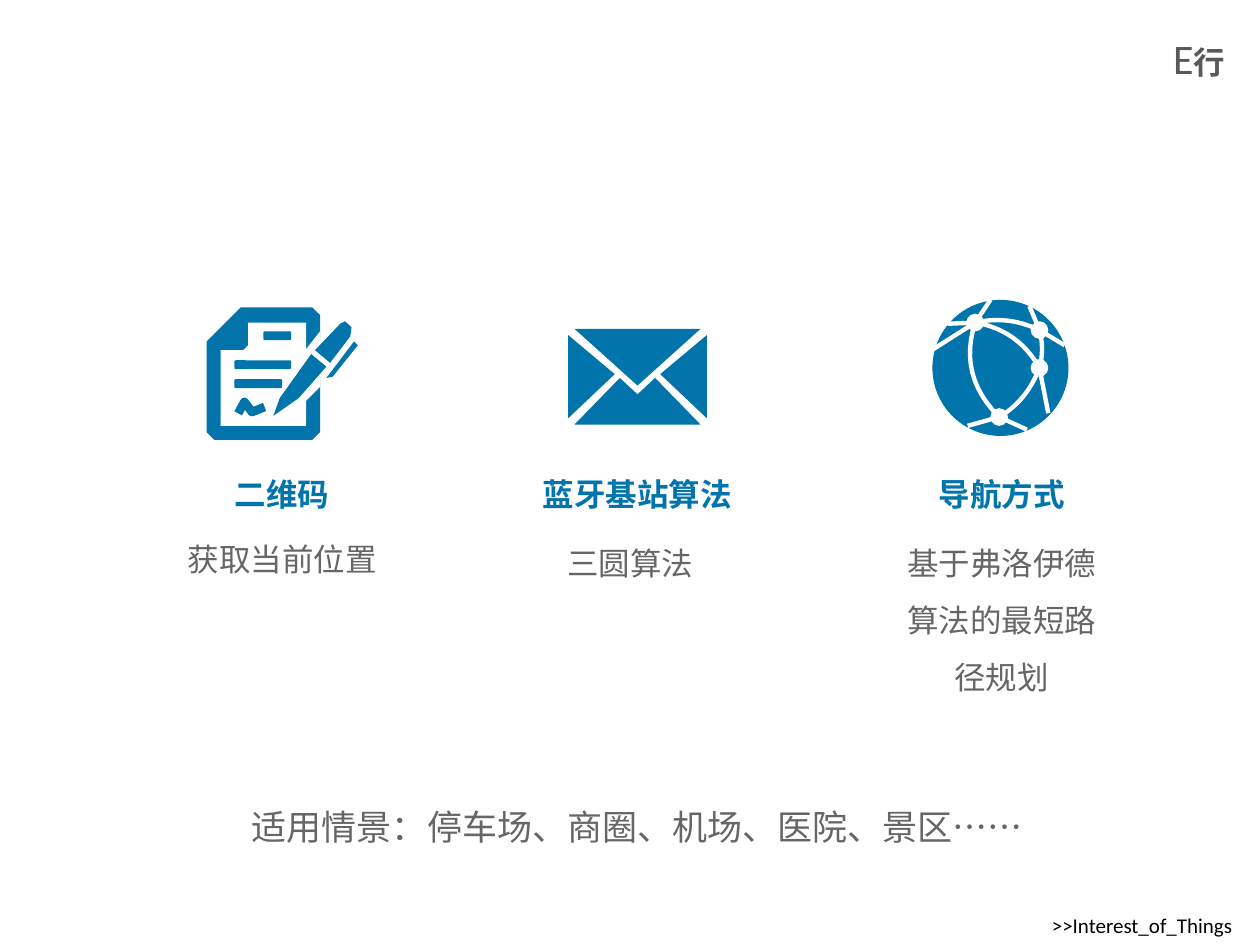
"""Build a slide with three positioning methods, each under its own icon."""
from lxml.etree import SubElement
from pptx import Presentation
from pptx.dml.color import RGBColor
from pptx.enum.shapes import MSO_SHAPE
from pptx.enum.text import MSO_ANCHOR, MSO_AUTO_SIZE, PP_ALIGN
from pptx.oxml.ns import qn
from pptx.util import Inches, Pt

COLORS = {"blue": "0174AB", "gray": "666666", "dark": "595959",
          "black": "000000", "white": "FFFFFF"}
CJK, LATIN = "Noto Sans CJK SC", "Calibri"
HEADING_TOP, ROW_HEIGHT, BODY_WIDTH = 3.72, 0.4, 1.91

COLUMNS = [
    {"center": 2.24, "heading": "二维码", "width": 1.11,
     "body": ["获取当前位置"], "body_center": 2.24, "top": 4.24, "spacing": 1.0},
    {"center": 5.06, "heading": "蓝牙基站算法", "width": 1.83,
     "body": ["三圆算法"], "body_center": 5.0, "top": 4.12, "spacing": 1.5},
    {"center": 7.95, "heading": "导航方式", "width": 1.42,
     "body": ["基于弗洛伊德", "算法的最短路径规划"],
     "body_center": 7.95, "top": 4.12, "spacing": 1.5},
]
SCENARIOS = "适用情景：停车场、商圈、机场、医院、景区……"
FOOTER = ">>Interest_of_Things"

ENVELOPE_CENTER = 5.06
ENVELOPE_HALVES = {
    "flap": [(4.56, 2.61), (5.06, 3.06)],
    "base": [(4.56, 3.37), (4.92, 3.0), (5.06, 3.13)],
}
ENVELOPE_SIDE = [(4.51, 2.66), (4.88, 2.97), (4.51, 3.32)]

PAGE = [(1.64, 2.71), (1.91, 2.44), (2.48, 2.44), (2.54, 2.5),
        (2.54, 3.43), (2.48, 3.49), (1.7, 3.49), (1.64, 3.43)]
PAPER = [(1.75, 2.78), (1.93, 2.78), (1.97, 2.74), (1.97, 2.56),
         (2.43, 2.56), (2.43, 3.38), (1.75, 3.38)]
PEN_GAP = [(2.54, 2.63), (2.43, 2.77), (2.43, 3.18), (2.54, 3.07)]
PEN = [
    [(2.47, 2.81), (2.59, 2.91), (2.37, 3.16), (2.17, 3.3), (2.22, 3.16)],
    [(2.5, 2.78), (2.7, 2.57), (2.74, 2.55), (2.79, 2.6), (2.78, 2.67), (2.62, 2.88)],
    [(2.81, 2.71), (2.84, 2.74), (2.64, 2.99), (2.59, 3.0)],
]
BARS = [(2.09, 2.63, 0.22), (1.86, 2.86, 0.45), (1.86, 3.01, 0.38)]
BAR_HEIGHT = 0.07
SIGNATURE = [(1.89, 3.28), (1.94, 3.19), (2.0, 3.27), (2.1, 3.23)]

GLOBE_CENTER, GLOBE_RADIUS, NODE_RADIUS = (7.94, 2.92), 0.54, 0.07
NODES = {"west": (7.74, 2.56), "north": (8.25, 2.62),
         "east": (8.25, 2.92), "south": (7.93, 3.31)}
LINKS = [
    ("west", (7.6, 2.98), "south"), ("south", (8.15, 3.18), "east"),
    ("north", (8.29, 2.77), "east"), ("west", (8.0, 2.5), "north"),
    ("west", (8.08, 2.62), "east"),
]
RAYS = [("west", (7.86, 2.38)), ("west", (7.52, 2.57)), ("west", (7.41, 2.77)),
        ("north", (8.17, 2.43)), ("north", (8.45, 2.74)), ("east", (8.32, 3.28)),
        ("south", (8.15, 3.41)), ("south", (7.68, 3.38))]
CURVE_STEPS = 12


def paint(shape, color):
    shape.shadow.inherit = False
    shape.fill.solid()
    shape.fill.fore_color.rgb = RGBColor.from_string(COLORS[color])
    shape.line.fill.background()


def draw_outline(group, points, color, stroke=None):
    start, *rest = [(Inches(x), Inches(y)) for x, y in points]
    builder = group.shapes.build_freeform(*start)
    builder.add_line_segments(rest, close=stroke is None)
    shape = builder.convert_to_shape()
    paint(shape, color)
    if stroke:
        shape.fill.background()
        shape.line.color.rgb = RGBColor.from_string(COLORS[color])
        shape.line.width = Pt(stroke)


def draw_preset(group, preset, box, color):
    paint(group.shapes.add_shape(preset, *map(Inches, box)), color)


def draw_circle(group, center, radius, color):
    x, y = center
    draw_preset(group, MSO_SHAPE.OVAL, (x - radius, y - radius, 2 * radius, 2 * radius), color)


def mirror(points):
    return [(2 * ENVELOPE_CENTER - x, y) for x, y in reversed(points)]


def curve(start, control, end):
    steps = [index / CURVE_STEPS for index in range(CURVE_STEPS + 1)]
    return [tuple((1 - t) ** 2 * a + 2 * t * (1 - t) * b + t * t * c
                  for a, b, c in zip(start, control, end)) for t in steps]


def draw_envelope(group):
    for half in ENVELOPE_HALVES.values():
        draw_outline(group, half + mirror(half)[1:], "blue")
    for side in (ENVELOPE_SIDE, mirror(ENVELOPE_SIDE)):
        draw_outline(group, side, "blue")


def draw_document(group):
    for outline, color in ((PAGE, "blue"), (PAPER, "white"), (PEN_GAP, "white")):
        draw_outline(group, outline, color)
    for left, top, width in BARS:
        draw_preset(group, MSO_SHAPE.ROUNDED_RECTANGLE, (left, top, width, BAR_HEIGHT), "blue")
    draw_outline(group, SIGNATURE, "blue", 5)
    for part in PEN:
        draw_outline(group, part, "white", 4)
        draw_outline(group, part, "blue")


def draw_globe(group):
    draw_circle(group, GLOBE_CENTER, GLOBE_RADIUS, "blue")
    for start, control, end in LINKS:
        draw_outline(group, curve(NODES[start], control, NODES[end]), "white", 2.5)
    for node, end in RAYS:
        draw_outline(group, [NODES[node], end], "white", 2.5)
    for center in NODES.values():
        draw_circle(group, center, NODE_RADIUS, "white")


def write(shape, box, paragraphs, align=PP_ALIGN.CENTER, spacing=1.0):
    shape.left, shape.top, shape.width, shape.height = map(Inches, box)
    frame = shape.text_frame
    frame.word_wrap = True
    frame.auto_size = MSO_AUTO_SIZE.NONE
    frame.vertical_anchor = MSO_ANCHOR.TOP
    for index, runs in enumerate(paragraphs):
        paragraph = frame.add_paragraph() if index else frame.paragraphs[0]
        paragraph.alignment = align
        paragraph.line_spacing = spacing
        for text, size, font, color, bold in runs:
            run = paragraph.add_run()
            run.text = text
            run.font.size, run.font.bold, run.font.name = Pt(size), bold, font
            run.font.color.rgb = RGBColor.from_string(COLORS[color])
            SubElement(run.font._element, qn("a:ea")).set("typeface", CJK)


def add_text(slide, box, *arguments, **options):
    write(slide.shapes.add_textbox(0, 0, 0, 0), box, *arguments, **options)


def main():
    presentation = Presentation()
    presentation.slide_width, presentation.slide_height = Inches(10), Inches(7.5)
    slide = presentation.slides.add_slide(presentation.slide_layouts[5])
    write(slide.shapes.title, (9.21, 0.21, 1.06, 0.5),
          [[("E", 24, LATIN, "dark", False), ("行", 18, LATIN, "dark", True)]], PP_ALIGN.LEFT)
    for draw_icon in (draw_envelope, draw_document, draw_globe):
        draw_icon(slide.shapes.add_group_shape())
    for column in COLUMNS:
        lines = column["body"]
        height = ROW_HEIGHT if column["spacing"] == 1 else 0.1 + 0.45 * (2 * len(lines) - 1)
        add_text(slide, (column["center"] - column["width"] / 2, HEADING_TOP,
                         column["width"], ROW_HEIGHT),
                 [[(column["heading"], 18, CJK, "blue", True)]])
        add_text(slide, (column["body_center"] - BODY_WIDTH / 2, column["top"],
                         BODY_WIDTH, height),
                 [[(line, 18, CJK, "gray", False)] for line in lines],
                 spacing=column["spacing"])
    add_text(slide, (1.14, 6.18, 7.84, 0.6), [[(SCENARIOS, 20, CJK, "gray", False)]],
             spacing=1.5)
    add_text(slide, (8.25, 7.19, 1.8, 0.3), [[(FOOTER, 12, LATIN, "black", False)]],
             PP_ALIGN.LEFT)
    presentation.save("out.pptx")


if __name__ == "__main__":
    main()
